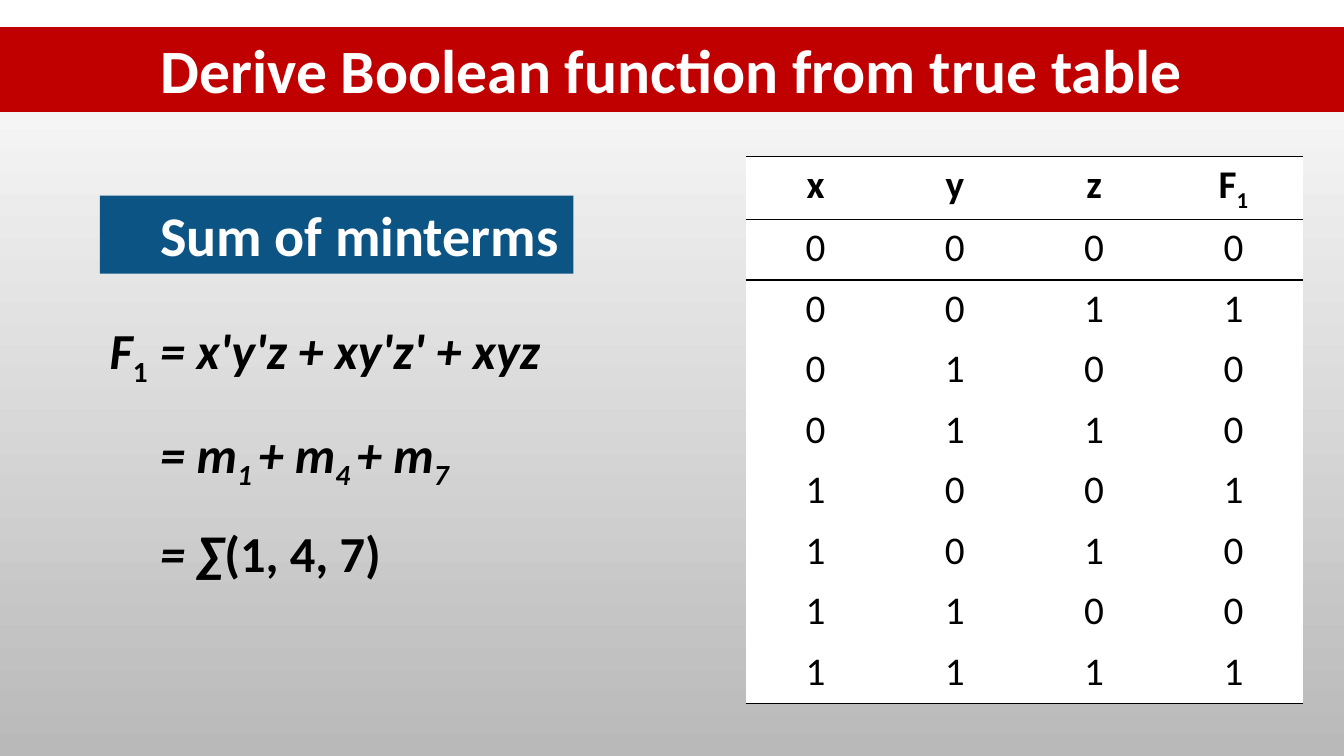
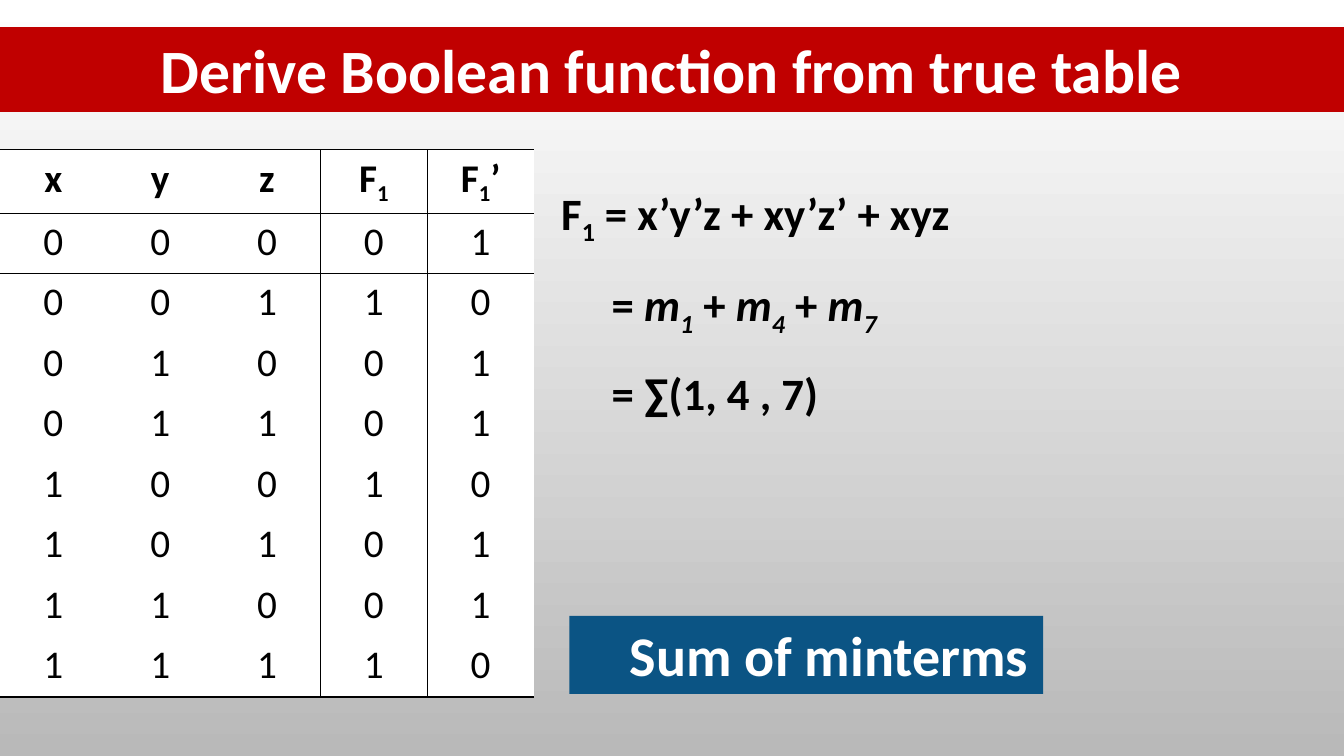
from itertools import product

from pptx import Presentation
from pptx.dml.color import RGBColor
from pptx.enum import shapes, text
from pptx.oxml import parse_xml
from pptx.oxml.ns import nsdecls, qn
from pptx.util import Pt

COLORS = {"title": "C00000", "label": "0B5484", "ink": "000000",
          "paper": "FFFFFF", "shade": "B9B9B9"}
FONT = "Calibri"
NO_STYLE = "{2D5ABB26-0587-4C30-8999-92F81FD0307C}"
TITLE = "Derive Boolean function from true table"
LABEL = "Sum of minterms"
MINTERMS = (1, 4, 7)
ROW_HEIGHT = 43.2
HANG = 36

# Runs are (text, marks): "i" is italic, "s" subscript.
# Each line is (line spacing, hangs to the left, runs).
SLIDES = [
    {
        "table": {"left": 532.8, "top": 111.6, "column": 99.5, "rules": (),
                  "heads": [[("x", "")], [("y", "")], [("z", "")],
                            [("F", ""), ("1", "s")]]},
        "formula": {"box": (71.3, 224.6, 401, 181.4), "size": 36, "lines": [
            (1, True, [("F", "i"), ("1\t", "s"), ("= x'y'z + xy'z' + xyz", "i")]),
            (1.5, False, [("= m", "i"), ("1 ", "is"), ("+ m", "i"), ("4 ", "is"),
                          ("+ m", "i"), ("7", "is")]),
            (1.5, False, [("= ∑", "i"), ("(1, 4, 7)", "")]),
        ]},
        "label": (71.3, 139.7),
    },
    {
        "table": {"left": 0, "top": 107, "column": 76.3, "rules": (3, 4),
                  "heads": [[("x", "")], [("y", "")], [("z", "")],
                            [("F", ""), ("1", "s")],
                            [("F", ""), ("1", "s"), ("’", "")]]},
        "formula": {"box": (393.8, 107, 341.3, 181.4), "size": 32, "lines": [
            (1.5, True, [("F", ""), ("1", "s"), (" = x’y’z + xy’z’ + xyz", "")]),
            (1.5, False, [("= ", ""), ("m", "i"), ("1", "is"), (" + ", ""),
                          ("m", "i"), ("4", "is"), (" + ", ""),
                          ("m", "i"), ("7", "is")]),
            (1.5, False, [("= ∑(1, 4 , 7)", "")]),
        ]},
        "label": (406.8, 439.9),
    },
]


def rgb(name):
    return RGBColor.from_string(COLORS[name])


def add_runs(paragraph, runs, size, color="ink", bold=True):
    for words, marks in runs:
        run = paragraph.add_run()
        run.text = words
        font = run.font
        font.name, font.size, font.bold = FONT, Pt(size), bold
        font.italic = "i" in marks
        font.color.rgb = rgb(color)
        if "s" in marks:
            font._element.set("baseline", "-25000")


def indent(paragraph, margin, first=0):
    properties = paragraph._p.get_or_add_pPr()
    properties.set("marL", str(Pt(margin)))
    properties.set("indent", str(Pt(first)))


def fill_solid(item, color):
    item.fill.solid()
    item.fill.fore_color.rgb = rgb(color)


def paint_background(master):
    fill = master.background.fill
    fill.gradient()
    fill.gradient_angle = 270
    for stop, position, color in zip(fill.gradient_stops, (0, 1), ("paper", "shade")):
        stop.position = position
        stop.color.rgb = rgb(color)


def set_title(slide):
    title = slide.shapes.title
    title.left, title.top, title.width, title.height = map(Pt, (0, 19.4, 960, 60.5))
    fill_solid(title, "title")
    frame = title.text_frame
    frame.auto_size = text.MSO_AUTO_SIZE.NONE
    frame.vertical_anchor = text.MSO_ANCHOR.TOP
    paragraph = frame.paragraphs[0]
    paragraph.alignment = text.PP_ALIGN.CENTER
    add_runs(paragraph, [(TITLE, "")], 44, "paper")


def add_formula(slide, box, size, lines):
    frame = slide.shapes.add_textbox(*map(Pt, box)).text_frame
    frame.word_wrap = True
    for number, (spacing, hangs, runs) in enumerate(lines):
        paragraph = frame.add_paragraph() if number else frame.paragraphs[0]
        paragraph.line_spacing = spacing
        indent(paragraph, HANG, -HANG if hangs else 0)
        add_runs(paragraph, runs, size)


def add_label(slide, left, top):
    label = slide.shapes.add_shape(shapes.MSO_SHAPE.RECTANGLE,
                                   Pt(left), Pt(top), Pt(338.4), Pt(55.7))
    label.shadow.inherit = False
    fill_solid(label, "label")
    label.line.fill.background()
    frame = label.text_frame
    frame.word_wrap = False
    frame.auto_size = text.MSO_AUTO_SIZE.SHAPE_TO_FIT_TEXT
    frame.vertical_anchor = text.MSO_ANCHOR.TOP
    paragraph = frame.paragraphs[0]
    paragraph.alignment = text.PP_ALIGN.LEFT
    indent(paragraph, HANG)
    add_runs(paragraph, [(LABEL, "")], 40, "paper")


def add_border(cell, side):
    cell._tc.get_or_add_tcPr().append(parse_xml(
        f'<a:ln{side} {nsdecls("a")} w="{Pt(1)}"><a:solidFill>'
        f'<a:srgbClr val="{COLORS["ink"]}"/></a:solidFill></a:ln{side}>'))


def truth_rows(width):
    """Inputs, F1 and its complement, cut to the number of columns."""
    for index, inputs in enumerate(product((0, 1), repeat=3)):
        output = int(index in MINTERMS)
        yield [[(str(value), "")] for value in (*inputs, output, 1 - output)[:width]]


def add_truth_table(slide, left, top, column, rules, heads):
    """Rules are the columns that have a line on their left."""
    rows = [heads, *truth_rows(len(heads))]
    last = len(rows) - 1
    frame = slide.shapes.add_table(len(rows), len(heads), Pt(left), Pt(top),
                                   Pt(column * len(heads)), Pt(ROW_HEIGHT * len(rows)))
    frame._element.find(".//" + qn("a:tableStyleId")).text = NO_STYLE
    table = frame.table
    for table_column in table.columns:
        table_column.width = Pt(column)
    for r, row in enumerate(rows):
        table.rows[r].height = Pt(ROW_HEIGHT)
        for c, runs in enumerate(row):
            cell = table.cell(r, c)
            borders = {"L": c in rules, "R": c + 1 in rules,
                       "T": r in (0, 1), "B": r in (0, last)}
            for side, drawn in borders.items():
                if drawn:
                    add_border(cell, side)
            fill_solid(cell, "paper")
            paragraph = cell.text_frame.paragraphs[0]
            paragraph.alignment = text.PP_ALIGN.CENTER
            add_runs(paragraph, runs, 28, bold=r == 0)


def main():
    presentation = Presentation()
    presentation.slide_width, presentation.slide_height = Pt(960), Pt(540)
    paint_background(presentation.slide_master)
    title_only = presentation.slide_layouts.get_by_name("Title Only")
    for content in SLIDES:
        slide = presentation.slides.add_slide(title_only)
        set_title(slide)
        add_truth_table(slide, **content["table"])
        add_formula(slide, **content["formula"])
        add_label(slide, *content["label"])
    presentation.save("out.pptx")


if __name__ == "__main__":
    main()
